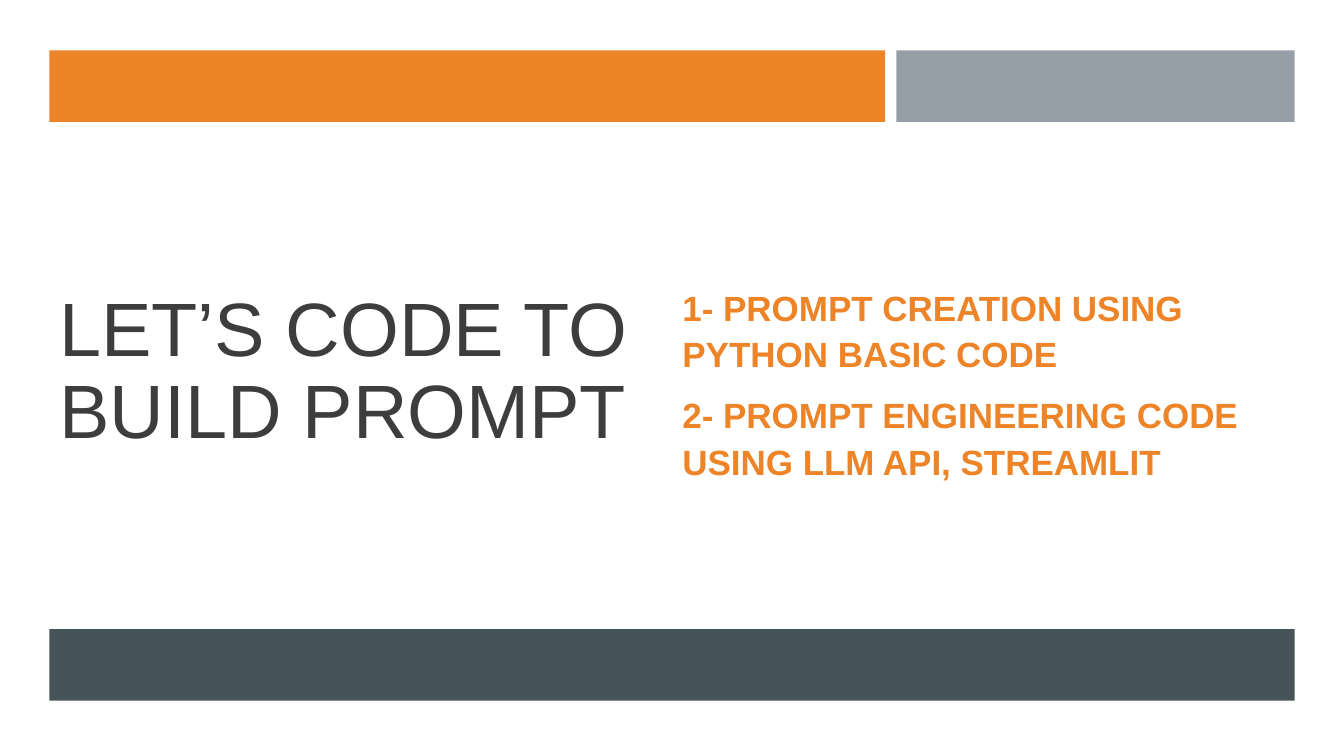
"""Build a title slide with three colour bars, a heading and two topics."""
from pptx import Presentation
from pptx.dml.color import RGBColor as RGB
from pptx.enum.shapes import MSO_SHAPE as SHAPE
from pptx.enum.text import MSO_ANCHOR as ANCHOR
from pptx.util import Inches, Pt

COLORS = {"orange": "ED8428", "gray": "969FA7", "slate": "465359", "ink": "3D3D3D"}
LEFT, RIGHT = 0.49, 12.84
SPLIT, GAP = 8.78, 0.11
BAR_TOP, BAR_BOTTOM, BAR_HEIGHT = 0.5, 6.24, 0.71


def add_bar(slide, left, top, right, color):
    sp = slide.shapes.add_shape(SHAPE.RECTANGLE, Inches(left), Inches(top),
                                Inches(right - left), Inches(BAR_HEIGHT))
    sp.shadow.inherit = False
    sp.fill.solid()
    sp.fill.fore_color.rgb = RGB.from_string(COLORS[color])
    sp.line.fill.background()


def add_text(slide, box, paragraphs, *, size, color, bold=False,
             spacing=1.0, before=0, after=0):
    tf = slide.shapes.add_textbox(*map(Inches, box)).text_frame
    tf.word_wrap = True
    tf.vertical_anchor = ANCHOR.MIDDLE
    for i, text in enumerate(paragraphs):
        p = tf.add_paragraph() if i else tf.paragraphs[0]
        p.line_spacing = spacing
        p.space_before = Pt(before if i else 0)
        p.space_after = Pt(after)
        r = p.add_run()
        r.text = text
        r.font.name = "Arial"
        r.font.size = Pt(size)
        r.font.bold = bold
        r.font.color.rgb = RGB.from_string(COLORS[color])


def main():
    prs = Presentation()
    prs.slide_width, prs.slide_height = Inches(13.33), Inches(7.5)
    s = prs.slides.add_slide(prs.slide_layouts[6])
    add_text(s, (LEFT, 1.7, 6.53, 4), ["LET’S CODE TO BUILD PROMPT"],
             size=54, color="ink", spacing=0.9)
    add_text(s, (6.67, 1.52, 6.17, 4.54),
             ["1- PROMPT CREATION USING PYTHON BASIC CODE",
              "2- PROMPT ENGINEERING CODE USING LLM API, STREAMLIT"],
             size=25, color="orange", bold=True, spacing=1.1, before=5, after=6)
    add_bar(s, LEFT, BAR_TOP, SPLIT, "orange")
    add_bar(s, SPLIT + GAP, BAR_TOP, RIGHT, "gray")
    add_bar(s, LEFT, BAR_BOTTOM, RIGHT, "slate")
    prs.save("out.pptx")


if __name__ == "__main__":
    main()
